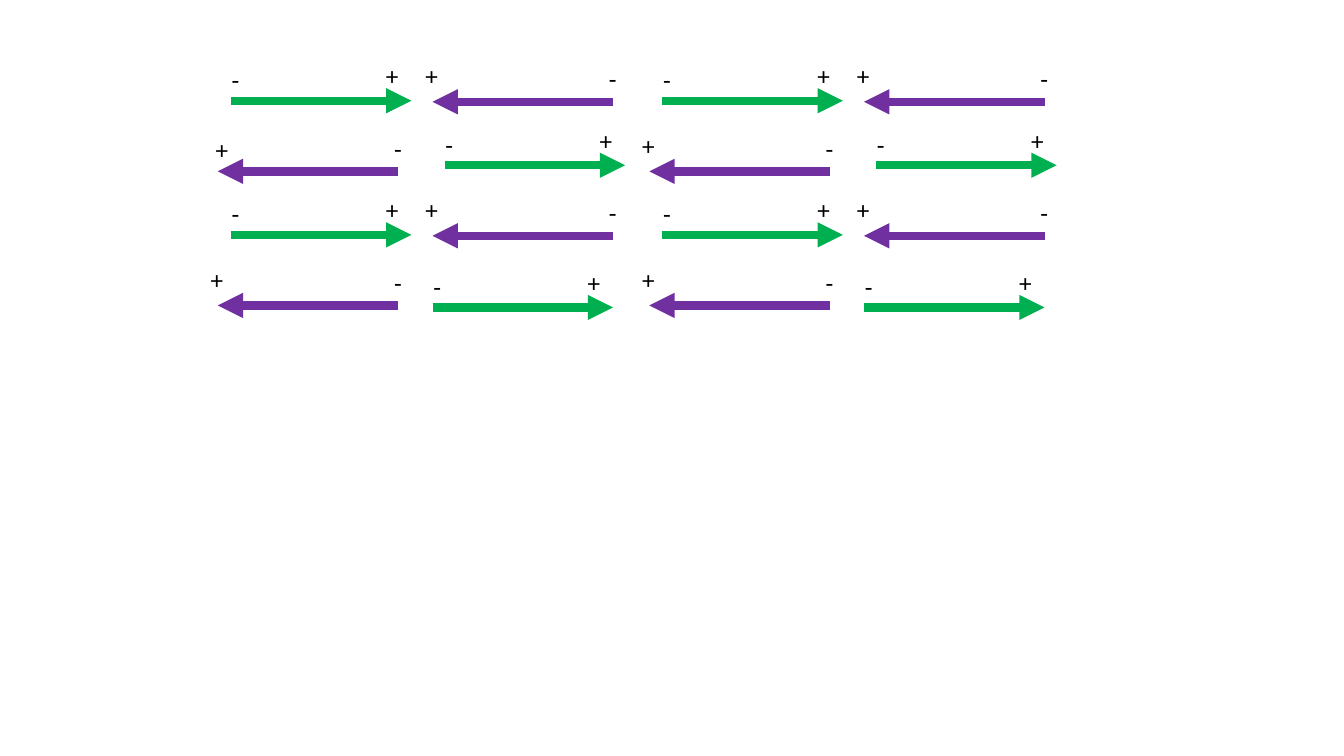
from pptx import Presentation
from pptx.dml.color import RGBColor
from pptx.enum.shapes import MSO_CONNECTOR
from pptx.enum.text import MSO_AUTO_SIZE
from pptx.oxml.ns import qn
from pptx.util import Inches, Pt
from lxml import etree

STRAIGHT = MSO_CONNECTOR.STRAIGHT
GROW = MSO_AUTO_SIZE.SHAPE_TO_FIT_TEXT
GREEN = RGBColor(0x00, 0xB0, 0x50)
PURPLE = RGBColor(0x70, 0x30, 0xA0)
BLACK = RGBColor(0x00, 0x00, 0x00)

LENGTH = 1.79
HALF_STEP = 4.28

# Left end and height of each dipole in one half of the lattice
RIGHT_DIPOLES = [(2.29, 1.0), (4.41, 1.64), (2.29, 2.33), (4.29, 3.05)]
LEFT_DIPOLES = [(4.29, 1.01), (2.16, 1.7), (4.29, 2.34), (2.16, 3.03)]


def add_text(tf, text, size=18, font="Calibri", color=BLACK):
    r = tf.paragraphs[0].add_run()
    r.text = text
    r.font.size = Pt(size)
    r.font.name = font
    r.font.color.rgb = color


class DipoleSlide:
    def __init__(self, prs):
        self.s = prs.slides.add_slide(prs.slide_layouts[6])
        self.line_width = Pt(6)

    def arrow(self, x1, x2, y, color):
        c = self.s.shapes.add_connector(
            STRAIGHT, Inches(x1), Inches(y), Inches(x2), Inches(y))
        c.line.color.rgb = color
        c.line.width = self.line_width
        ln = c.line._get_or_add_ln()
        etree.SubElement(ln, qn("a:tailEnd"), type="triangle")
        etree.SubElement(c._element.spPr, qn("a:effectLst"))

    def sign(self, text, x, y, width=0.3):
        sp = self.s.shapes.add_textbox(
            Inches(x), Inches(y), Inches(width), Inches(0.4))
        tf = sp.text_frame
        tf.word_wrap = True
        tf.auto_size = GROW
        add_text(tf, text)

    def right_dipole(self, x, y):
        self.arrow(x, x + LENGTH, y, GREEN)
        self.sign("-", x - 0.09, y - 0.41)
        self.sign("+", x + 1.44, y - 0.45)

    def left_dipole(self, x, y, plus_dx=-0.17, plus_dy=-0.46):
        self.arrow(x + LENGTH, x, y, PURPLE)
        self.sign("+", x + plus_dx, y + plus_dy, width=0.43)
        self.sign("-", x + 1.65, y - 0.43)


def main():
    prs = Presentation()
    prs.slide_width, prs.slide_height = Inches(13.33), Inches(7.5)
    slide = DipoleSlide(prs)

    # Two equal halves, side by side
    for half in range(2):
        shift = half * HALF_STEP
        for row, (right, left) in enumerate(zip(RIGHT_DIPOLES, LEFT_DIPOLES)):
            slide.right_dipole(right[0] + shift, right[1])
            # The plus sign of the second row's first dipole sits closer
            nudge = {}
            if (half, row) == (0, 1):
                nudge = {"plus_dx": -0.12, "plus_dy": -0.42}
            slide.left_dipole(left[0] + shift, left[1], **nudge)

    prs.save("out.pptx")


if __name__ == "__main__":
    main()
